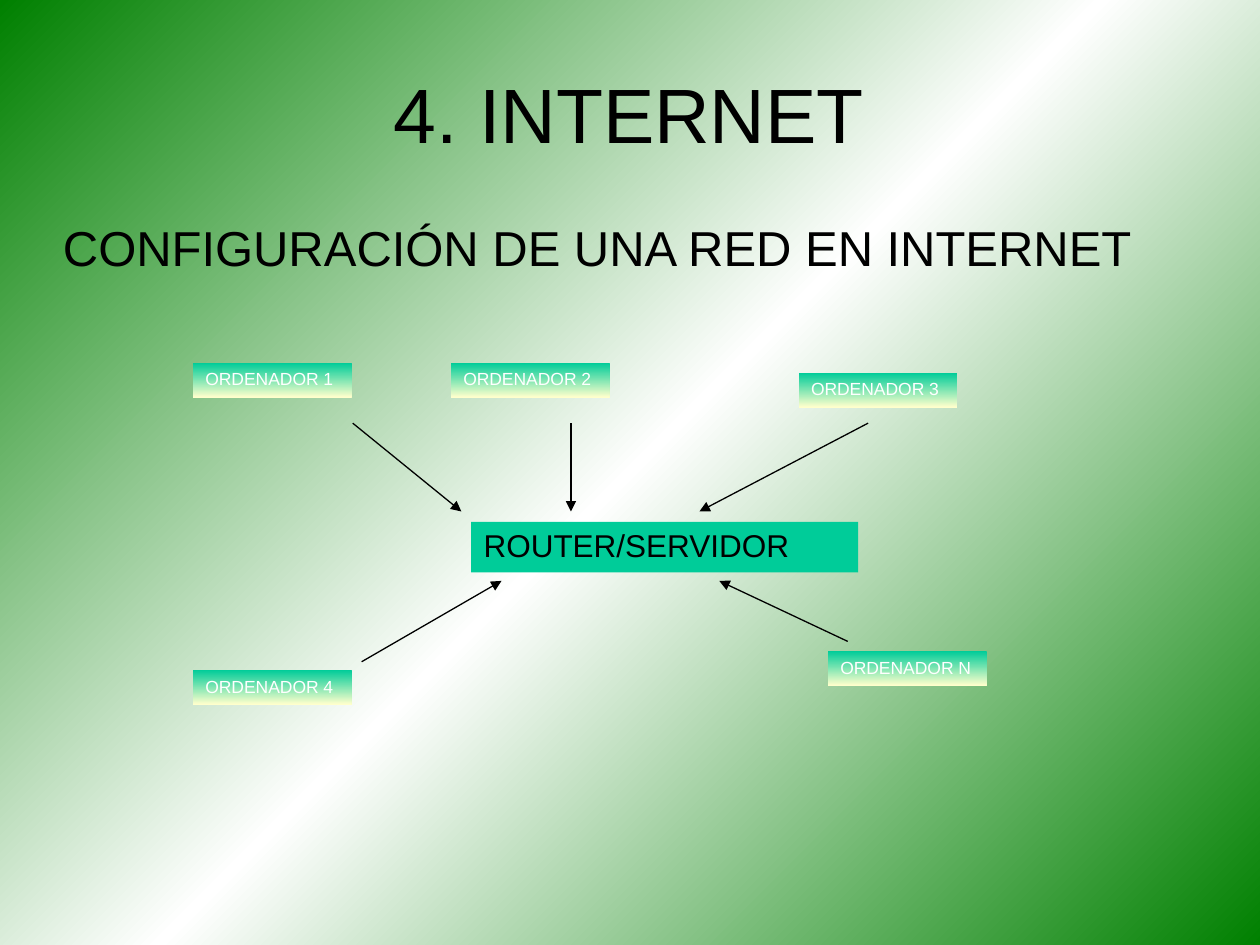
import pptx
import pptx.util
import pptx.dml.color
import pptx.enum.shapes
import pptx.enum.text
import pptx.oxml
import pptx.oxml.ns

Cm, Pt = pptx.util.Cm, pptx.util.Pt
Rgb = pptx.dml.color.RGBColor.from_string
Align, Anchor = pptx.enum.text.PP_ALIGN, pptx.enum.text.MSO_ANCHOR
Kind = pptx.enum.shapes.MSO_SHAPE.RECTANGLE
Line = pptx.enum.shapes.MSO_CONNECTOR.STRAIGHT
qn = pptx.oxml.ns.qn

theme = {
    "font": "Arial", "ink": "000000", "pale": "FFFFFF", "fill": "00CC99",
    "page": ["008000", "FFFFFF", "008000"], "node": ["00CC99", "FFFFCC"],
    "title": 44, "head": 28, "hub": 18, "label": 10, "rule": 0.75,
}
title = ("4. INTERNET", (1.27, 0.36, 22.83, 3.99))
head = ("CONFIGURACIÓN DE UNA RED EN INTERNET", (1.27, 4.45, 22.83, 1.68))
hub = ("ROUTER/SERVIDOR", (9.5, 10.52, 7.8, 1.02))
size = (3.2, 0.69)
nodes = [
    ("ORDENADOR 1", (3.89, 7.32)),
    ("ORDENADOR 2", (9.09, 7.32)),
    ("ORDENADOR 3", (16.1, 7.52)),
    ("ORDENADOR 4", (3.89, 13.51)),
    ("ORDENADOR N", (16.69, 13.13)),
]
upper, over, under = 8.53, 10.31, 11.71
links = [
    (7.11, upper, 9.3, over),
    (11.51, upper, 11.51, over),
    (17.5, upper, 14.1, over),
    (17.09, 12.93, 14.5, under),
    (7.29, 13.34, 10.11, under),
]


def apply(item, form):
    for key, value in form.items():
        setattr(item, key, value)


def blend(fill, root, tones, angle):
    fill.solid()
    old = root.find(".//" + qn("a:solidFill"))
    step = 100000 // (len(tones) - 1)
    stops = "".join(
        f'<a:gs pos="{i * step}"><a:srgbClr val="{tone}"/></a:gs>'
        for i, tone in enumerate(tones))
    new = pptx.oxml.parse_xml(
        f'<a:gradFill {pptx.oxml.ns.nsdecls("a")} rotWithShape="1">'
        f'<a:gsLst>{stops}</a:gsLst>'
        f'<a:lin ang="{angle * 60000}" scaled="0"/></a:gradFill>')
    old.getparent().replace(old, new)


def write(shape, text, role, color, pad=(0, 0), align=Align.LEFT, anchor=Anchor.TOP):
    frame = shape.text_frame
    side, edge = map(Cm, pad)
    apply(frame, {
        "word_wrap": True, "vertical_anchor": anchor,
        "margin_left": side, "margin_right": side,
        "margin_top": edge, "margin_bottom": edge,
    })
    para = frame.paragraphs[0]
    apply(para, {"text": text, "alignment": align, "line_spacing": 0.98})
    apply(para.font, {"name": theme["font"], "size": Pt(theme[role])})
    para.font.color.rgb = Rgb(theme[color])


def block(slide, text, place, role, color):
    shape = slide.shapes.add_shape(Kind, *map(Cm, place))
    shape.shadow.inherit = False
    shape.line.fill.background()
    write(shape, text, role, color, pad=(0.25, 0.13))
    return shape


def arrow(slide, ends):
    link = slide.shapes.add_connector(Line, *map(Cm, ends))
    link.line.width = Pt(theme["rule"])
    link.line.color.rgb = Rgb(theme["ink"])
    tail = pptx.oxml.parse_xml(
        f'<a:tailEnd {pptx.oxml.ns.nsdecls("a")} type="triangle"/>')
    link.line._get_or_add_ln().append(tail)
    link._element.spPr.append(
        pptx.oxml.parse_xml(f'<a:effectLst {pptx.oxml.ns.nsdecls("a")}/>'))


def main():
    deck = pptx.Presentation()
    apply(deck, {"slide_width": Cm(25.4), "slide_height": Cm(19.05)})
    slide = deck.slides.add_slide(deck.slide_layouts[6])
    blend(slide.background.fill, slide.element, theme["page"], 225)

    text, place = title
    write(slide.shapes.add_textbox(*map(Cm, place)), text, "title", "ink",
          align=Align.CENTER, anchor=Anchor.MIDDLE)
    text, place = head
    write(slide.shapes.add_textbox(*map(Cm, place)), text, "head", "ink")

    for text, spot in nodes:
        node = block(slide, text, spot + size, "label", "pale")
        blend(node.fill, node._element.spPr, theme["node"], 90)
    core = block(slide, *hub, "hub", "ink")
    core.fill.solid()
    core.fill.fore_color.rgb = Rgb(theme["fill"])
    for ends in links:
        arrow(slide, ends)

    deck.save("out.pptx")


if __name__ == "__main__":
    main()
